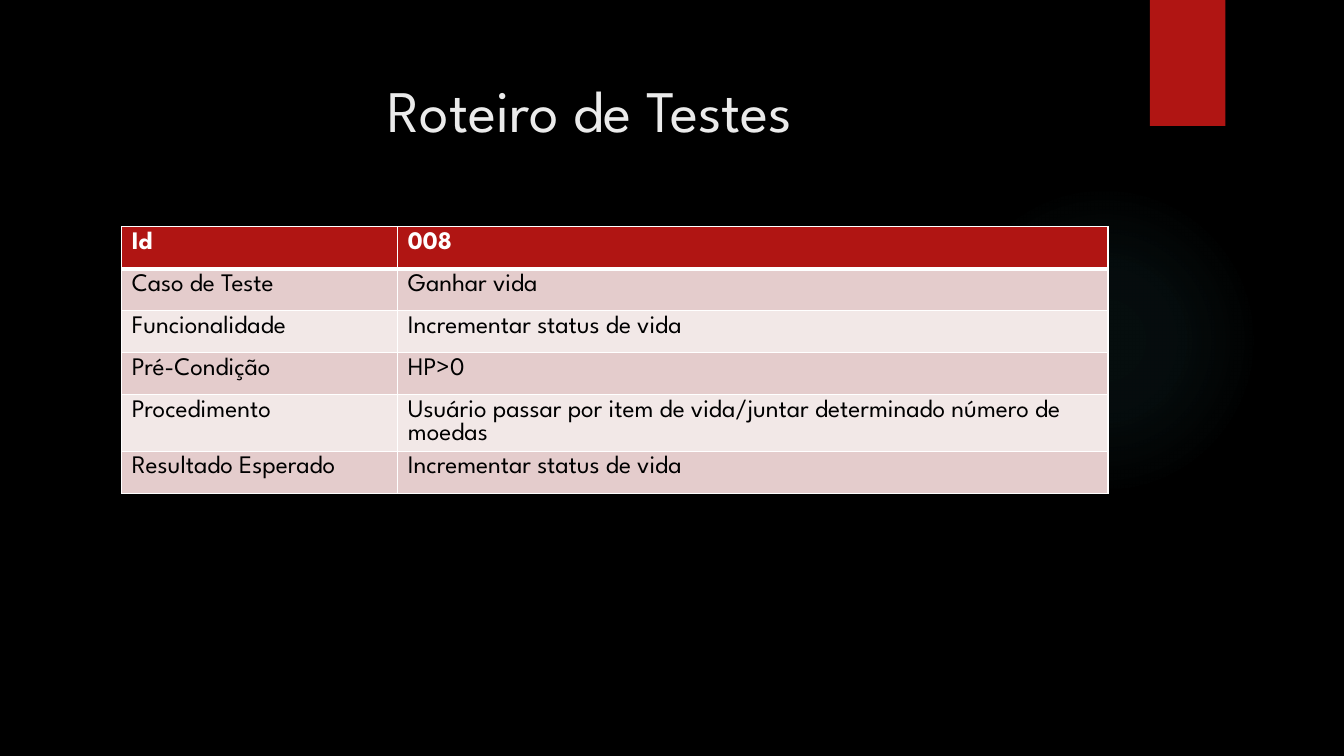
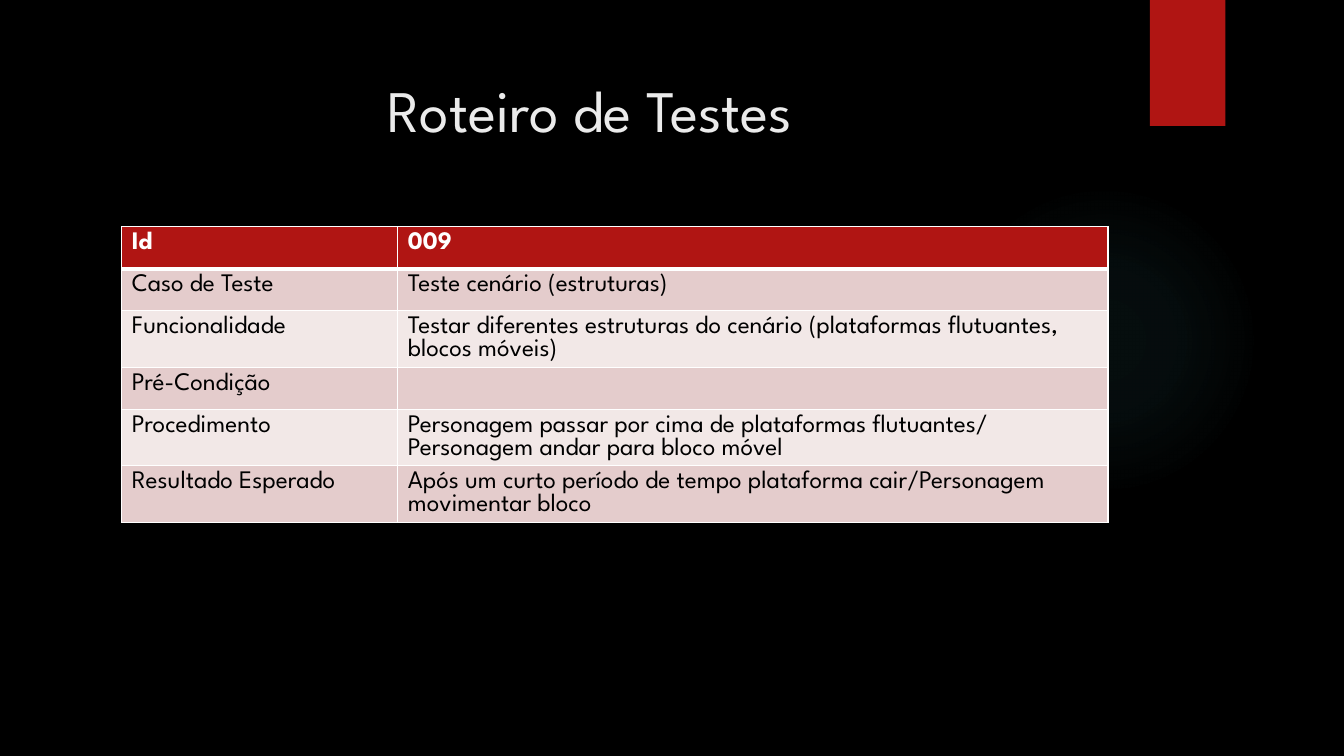
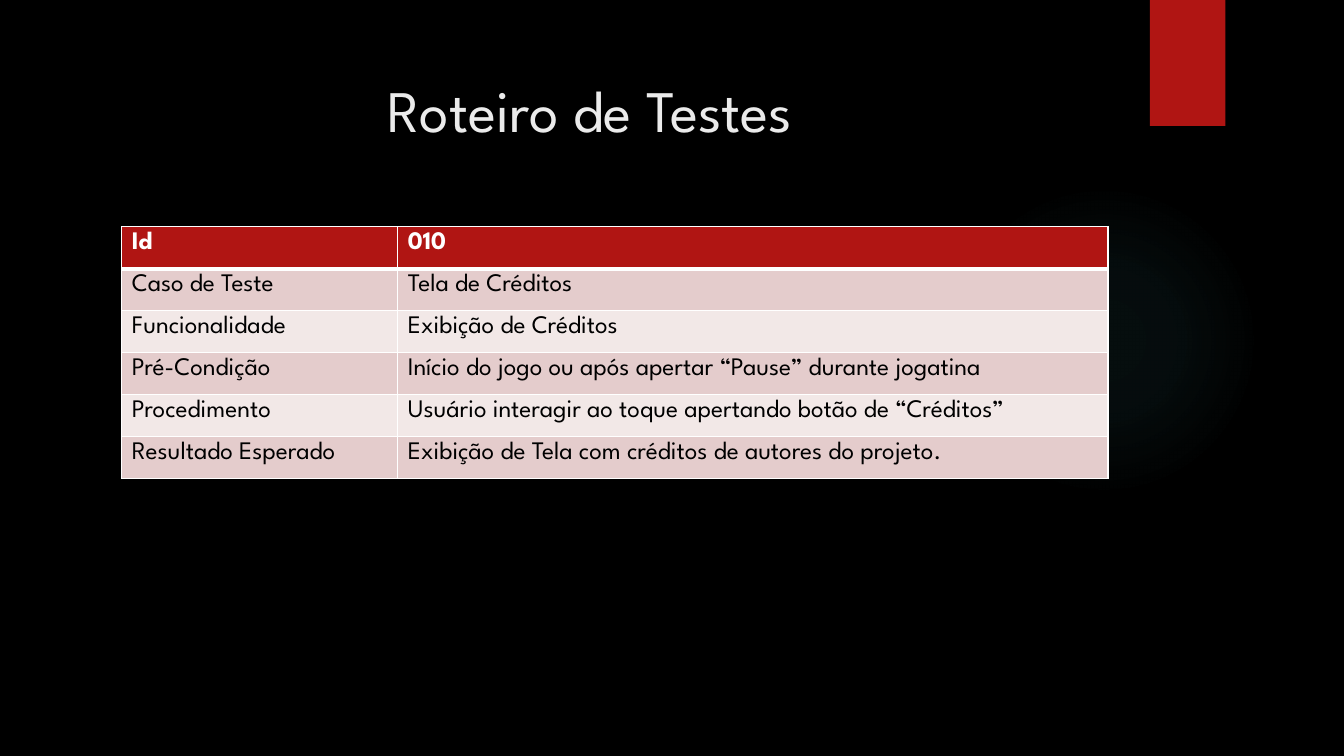
"""Test-script slides: one title and one test-case table per slide."""
from dataclasses import dataclass

from pptx import Presentation
from pptx import util as u
from pptx.dml.color import RGBColor
from pptx.enum import shapes, text
from pptx.oxml import parse_xml
from pptx.oxml.ns import nsdecls


@dataclass(frozen=True)
class Theme:
    """Colours, font, type sizes and line widths."""
    font: str = "League Spartan"
    title_size: int = 42
    cell_size: int = 18
    back: str = "000000"
    title: str = "EBEBEB"
    accent: str = "B01513"
    glow: str = "50B9C1"
    glow_stops: tuple = ((0, 7), (36, 6), (69, 0))
    head_text: str = "FFFFFF"
    body_text: str = "000000"
    bands: tuple = ("F2E8E7", "E4CCCC")
    rule: str = "FFFFFF"
    thin: int = 1
    thick: int = 3


T = Theme()
COLS, ROWS = 160, 90
UNIT = u.Inches(13.333) / COLS
TITLE_BOX = (8.5, 6, 123.5, 18.4)
TITLE_INSET = 2.75
GLOW_BOX = (112.9, 22, 37, 37)
BAND_BOX = (136.9, 0, 9, 15)
TABLE_BOX = (14.5, 27, 117.4, 30)
LABEL_SHARE = 0.28

TITLE = "Roteiro de Testes"
LABELS = ("Id", "Caso de Teste", "Funcionalidade", "Pré-Condição",
          "Procedimento", "Resultado Esperado")
CASES = (
    ("008", "Ganhar vida", "Incrementar status de vida", "HP>0",
     "Usuário passar por item de vida/juntar determinado número de moedas",
     "Incrementar status de vida"),
    ("009", "Teste cenário (estruturas)",
     "Testar diferentes estruturas do cenário (plataformas flutuantes, blocos móveis)",
     "",
     "Personagem passar por cima de plataformas flutuantes/ Personagem andar para bloco móvel",
     "Após um curto período de tempo plataforma cair/Personagem movimentar bloco"),
    ("010", "Tela de Créditos", "Exibição de Créditos",
     "Início do jogo ou após apertar “Pause” durante jogatina",
     "Usuário interagir ao toque apertando botão de “Créditos”",
     "Exibição de Tela com créditos de autores do projeto."),
)


def grid(*cells):
    """Turn grid units into whole EMU lengths."""
    return [u.Emu(round(c * UNIT)) for c in cells]


def add_run(p, words, size, color, bold=False):
    """Append one formatted run to a paragraph."""
    r = p.add_run()
    r.text = words
    r.font.name, r.font.size, r.font.bold = T.font, u.Pt(size), bold
    r.font.color.rgb = RGBColor.from_string(color)


def add_plain(s, kind, box):
    """Add a preset shape with the accent fill and neither line nor shadow."""
    sp = s.shapes.add_shape(kind, *grid(*box))
    sp.shadow.inherit = False
    sp.line.fill.background()
    sp.fill.solid()
    sp.fill.fore_color.rgb = RGBColor.from_string(T.accent)
    return sp


def fill_radial(sp):
    """Replace a solid fill by the radial glow."""
    stops = "".join(
        f'<a:gs pos="{pos * 1000}"><a:srgbClr val="{T.glow}">'
        f'<a:alpha val="{alpha * 1000}"/></a:srgbClr></a:gs>'
        for pos, alpha in T.glow_stops)
    grad = parse_xml(
        f'<a:gradFill {nsdecls("a")} rotWithShape="1"><a:gsLst>{stops}</a:gsLst>'
        '<a:path path="circle"><a:fillToRect l="50000" t="50000" r="50000" b="50000"/>'
        '</a:path></a:gradFill>')
    pr = sp._element.spPr
    pr.replace(pr.find("{*}solidFill"), grad)


def decorate_layout(layout, s):
    """Give the layout its background, glow and corner band."""
    layout.background.fill.solid()
    layout.background.fill.fore_color.rgb = RGBColor.from_string(T.back)
    glow = add_plain(s, shapes.MSO_SHAPE.OVAL, GLOW_BOX)
    fill_radial(glow)
    band = add_plain(s, shapes.MSO_SHAPE.RECTANGLE, BAND_BOX)
    for i, sp in enumerate((glow, band)):
        sp._element.nvSpPr.cNvPr.set("id", str(100 + i))
        layout.shapes._spTree.insert(2 + i, sp._element)


def place_title(s, box):
    """Move and format the title placeholder."""
    sp = s.shapes.title
    sp.left, sp.top, sp.width, sp.height = grid(*box)
    tf = sp.text_frame
    tf.word_wrap = True
    tf.auto_size = text.MSO_AUTO_SIZE.NONE
    tf.vertical_anchor = text.MSO_ANCHOR.TOP
    tf.margin_top, = grid(TITLE_INSET)
    p = tf.paragraphs[0]
    p.alignment = text.PP_ALIGN.CENTER
    add_run(p, TITLE, T.title_size, T.title)


def set_borders(cell, top, bottom):
    """Draw the four cell rules."""
    widths = {"lnL": T.thin, "lnR": T.thin, "lnT": top, "lnB": bottom}
    pr = cell._tc.get_or_add_tcPr()
    for i, (side, width) in enumerate(widths.items()):
        pr.insert(i, parse_xml(
            f'<a:{side} {nsdecls("a")} w="{u.Pt(width)}"><a:solidFill>'
            f'<a:srgbClr val="{T.rule}"/></a:solidFill></a:{side}>'))


def place_table(s, box, case):
    """Add the label and value table of one test case."""
    left, top, width, height = grid(*box)
    table = s.shapes.add_table(len(LABELS), 2, left, top, width, height).table
    table.columns[0].width = round(width * LABEL_SHARE)
    table.columns[1].width = width - table.columns[0].width
    for row, pair in enumerate(zip(LABELS, case)):
        head = row == 0
        for col, words in enumerate(pair):
            cell = table.cell(row, col)
            cell.fill.solid()
            cell.fill.fore_color.rgb = RGBColor.from_string(
                T.accent if head else T.bands[row % 2])
            set_borders(cell, T.thick if row == 1 else T.thin,
                        T.thick if head else T.thin)
            if words:
                add_run(cell.text_frame.paragraphs[0], words, T.cell_size,
                        T.head_text if head else T.body_text, head)


def main():
    """Build and save the deck."""
    prs = Presentation()
    prs.slide_width, prs.slide_height = grid(COLS, ROWS)
    layout = prs.slide_layouts[5]
    for i, case in enumerate(CASES):
        s = prs.slides.add_slide(layout)
        if i == 0:
            decorate_layout(layout, s)
        place_title(s, TITLE_BOX)
        place_table(s, TABLE_BOX, case)
    prs.save("out.pptx")


if __name__ == "__main__":
    main()
